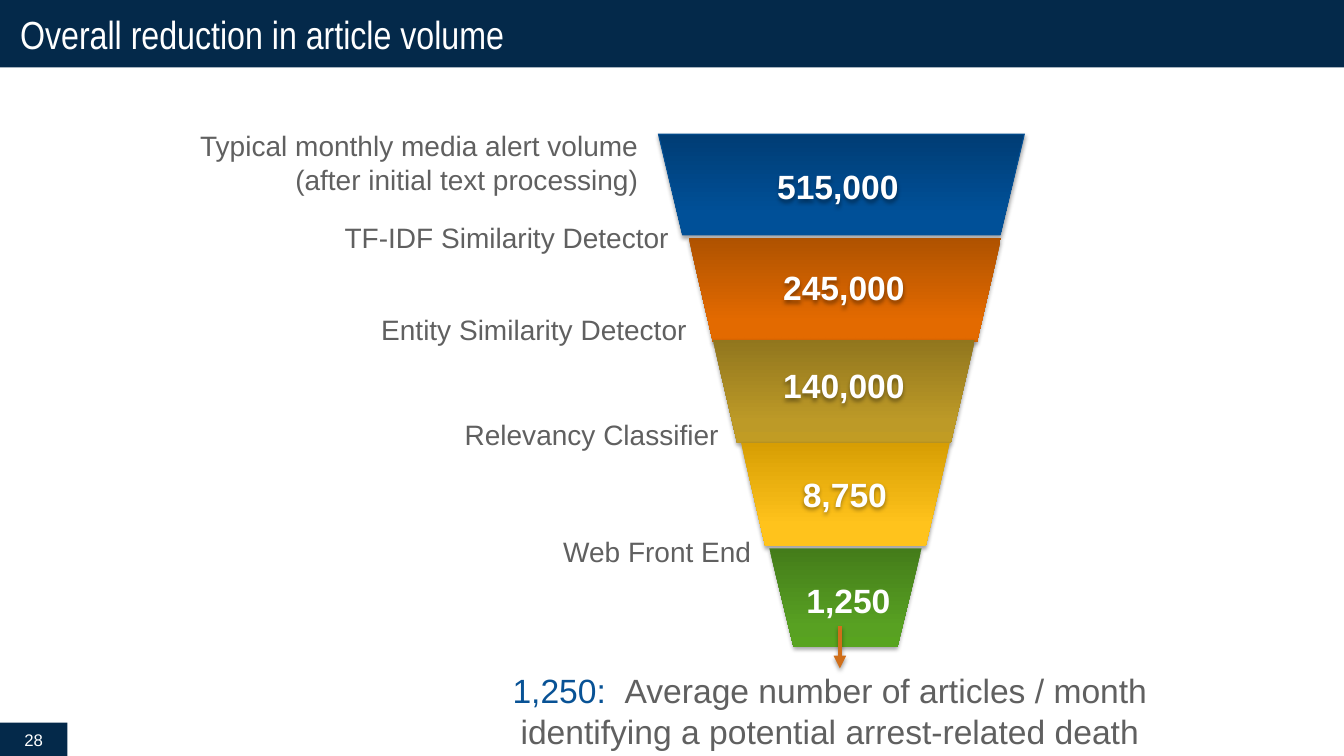
from lxml import etree
from pptx import Presentation
from pptx.dml.color import RGBColor
from pptx.enum.shapes import MSO_CONNECTOR as CONN, MSO_SHAPE as SHAPE
from pptx.enum.text import MSO_ANCHOR as ANCHOR, PP_ALIGN as ALIGN
from pptx.oxml import parse_xml
from pptx.oxml.ns import nsdecls, qn
from pptx.util import Inches, Pt

COLORS = {"navy": "04294A", "blue": "085295", "edge": "045095",
          "gray": "606060", "white": "FFFFFF", "arrow": "D06F1A"}

# Funnel stages: value, trapezoid box, value box, gradient colours, text shadow
STAGES = [
    ("515,000", (6.53, 1.33, 3.63, 1), (7.04, 1.6, 2.54, 0.46),
     ("003D75", "005098", "005099"), True),
    ("245,000", (6.83, 2.36, 3.1, 1.03), (7.04, 2.6, 2.66, 0.58),
     ("AF5200", "E36A00", "E46A00"), True),
    ("140,000", (7.07, 3.37, 2.6, 1.02), (7.51, 3.57, 1.72, 0.58),
     ("91761E", "BD9A27", "C19C24"), True),
    ("8,750", (7.35, 4.39, 2.07, 1.03), (7.65, 4.65, 1.46, 0.58),
     ("D79E03", "FFC31C", "FFC31D"), True),
    ("1,250", (7.63, 5.44, 1.51, 0.98), (7.8, 5.7, 1.23, 0.55),
     ("447C1A", "58A122", "58A41F"), False),
]
LABELS = [
    ("Typical monthly media alert volume (after initial text processing)",
     (1.67, 1.23, 4.76, 0.82), ALIGN.RIGHT),
    ("TF-IDF Similarity Detector", (3.32, 2.14, 3.46, 0.46), ALIGN.LEFT),
    ("Entity Similarity Detector", (3.49, 3.05, 3.42, 0.46), ALIGN.RIGHT),
    ("Relevancy Classifier", (4.51, 4.09, 2.74, 0.46), ALIGN.LEFT),
    ("Web Front End", (5.42, 5.25, 2.13, 0.46), ALIGN.RIGHT),
]
STOPS = (0, 80, 100)
SLANT = 0.24  # side inset of each trapezoid, in inches


def rgb(name):
    return RGBColor.from_string(COLORS[name])


def inches(box):
    return [Inches(v) for v in box]


def add_shadow(sp):
    sp_pr = sp._element.spPr
    for old in sp_pr.findall(qn("a:effectLst")):
        sp_pr.remove(old)
    sp_pr.append(parse_xml(
        f'<a:effectLst {nsdecls("a")}><a:outerShdw blurRad="39370" dist="22860" '
        'dir="5400000" rotWithShape="0"><a:srgbClr val="000000">'
        '<a:alpha val="35000"/></a:srgbClr></a:outerShdw></a:effectLst>'))


def set_gradient(sp, colors):
    stops = "".join(f'<a:gs pos="{pos * 1000}"><a:srgbClr val="{c}"/></a:gs>'
                    for pos, c in zip(STOPS, colors))
    sp._element.spPr.find(qn("a:prstGeom")).addnext(parse_xml(
        f'<a:gradFill {nsdecls("a")} rotWithShape="1"><a:gsLst>{stops}</a:gsLst>'
        '<a:lin ang="16200000" scaled="0"/></a:gradFill>'))


def style(p, size, color, align, font="Arial", bold=False):
    p.alignment = align
    p.font.size, p.font.name, p.font.bold = Pt(size), font, bold
    if color:
        p.font.color.rgb = rgb(color)


def add_text(shapes, text, box, size, color, align, bold=False):
    sp = shapes.add_textbox(*inches(box))
    tf = sp.text_frame
    tf.word_wrap = True
    p = tf.paragraphs[0]
    p.text = text
    style(p, size, color, align, bold=bold)
    return sp


def add_bar(shapes, text, box, size, align, font, margin=0.1):
    sp = shapes.add_shape(SHAPE.RECTANGLE, *inches(box))
    sp.shadow.inherit = False
    sp.fill.solid()
    sp.fill.fore_color.rgb = rgb("navy")
    sp.line.fill.background()
    tf = sp.text_frame
    tf.word_wrap = True
    tf.vertical_anchor = ANCHOR.MIDDLE
    tf.margin_left = tf.margin_right = Inches(margin)
    p = tf.paragraphs[0]
    p.text = text
    style(p, size, "white", align, font)


def add_stage(shapes, value, box, value_box, colors, text_shadow, edged):
    group = shapes.add_group_shape().shapes
    sp = group.add_shape(SHAPE.TRAPEZOID, *inches(box))
    sp.rotation = 180
    sp.adjustments[0] = SLANT / min(box[2:])
    set_gradient(sp, colors)
    if edged:
        sp.line.color.rgb = rgb("edge")
        sp.line.width = Pt(0.75)
    else:
        sp.line.fill.background()
    add_shadow(sp)
    number = add_text(group, value, value_box, 24, "white", ALIGN.CENTER, bold=True)
    if text_shadow:
        add_shadow(number)


def add_arrow(shapes, x, top, bottom):
    line = shapes.add_connector(CONN.STRAIGHT, *inches((x, top, x, bottom)))
    line.line.color.rgb = rgb("arrow")
    line.line.width = Pt(3)
    etree.SubElement(line.line._get_or_add_ln(), qn("a:tailEnd"), type="triangle")
    add_shadow(line)


def add_result(shapes):
    sp = add_text(shapes, "", (4.51, 6.6, 7.44, 0.79), 24, None, ALIGN.CENTER)
    p = sp.text_frame.paragraphs[0]
    for text, color in (("1,250:  ", "blue"),
                        ("Average number of articles / month identifying "
                         "a potential arrest-related death", "gray")):
        r = p.add_run()
        r.text = text
        r.font.color.rgb = rgb(color)


def main():
    prs = Presentation()
    prs.slide_width, prs.slide_height = Inches(13.33), Inches(7.5)
    s = prs.slides.add_slide(prs.slide_layouts[6])

    # Funnel and its labels
    for i, stage in enumerate(STAGES):
        add_stage(s.shapes, *stage, edged=i == 0)
    for text, box, align in LABELS:
        add_text(s.shapes, text, box, 20, "gray", align)

    # Result below the funnel
    add_result(s.shapes)
    add_arrow(s.shapes, 8.33, 6.21, 6.63)

    # Title bar and page number
    add_bar(s.shapes, "Overall reduction in article volume", (0, 0, 13.33, 0.67),
            28, ALIGN.LEFT, "Arial Narrow", margin=0.2)
    add_bar(s.shapes, "28", (0, 7.17, 0.67, 0.33), 12, ALIGN.CENTER, "Arial")

    prs.save("out.pptx")


if __name__ == "__main__":
    main()
